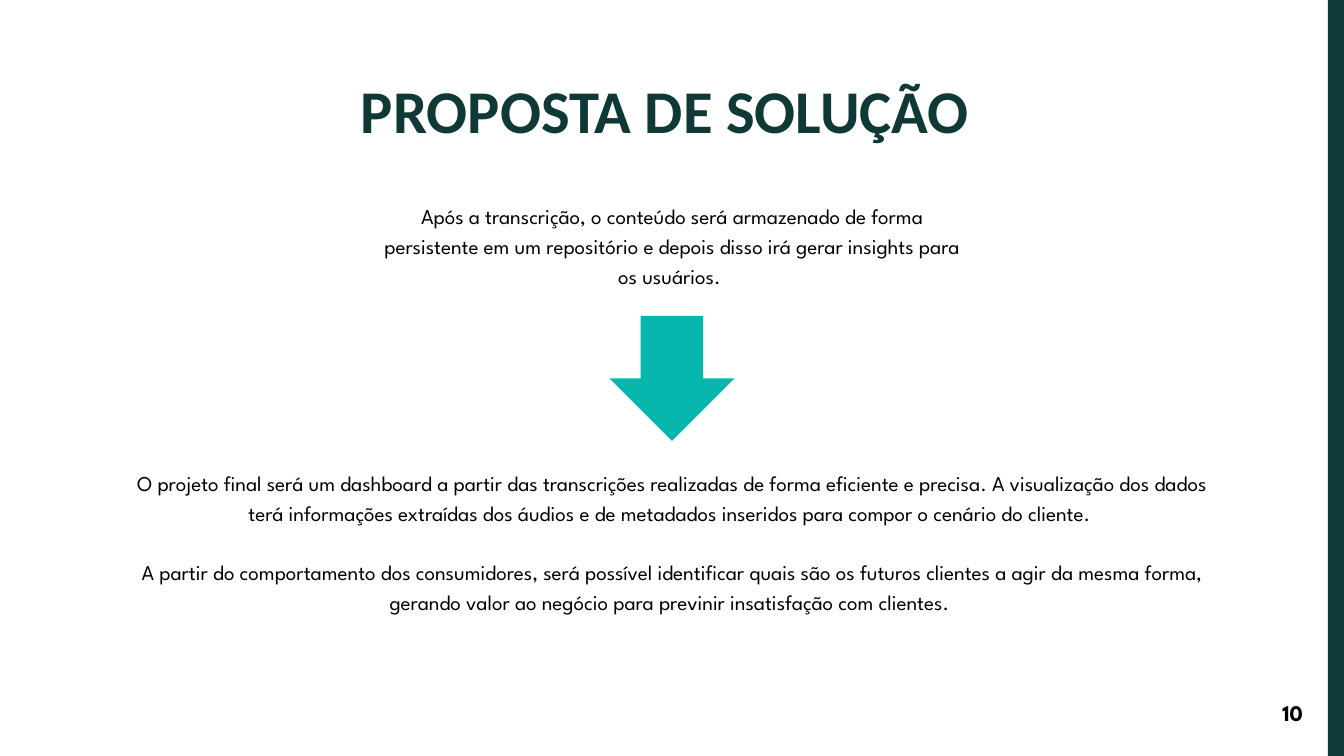
from dataclasses import dataclass

from pptx import Presentation
from pptx.dml.color import RGBColor
from pptx.enum.shapes import MSO_SHAPE
from pptx.enum.text import MSO_ANCHOR, MSO_AUTO_SIZE, PP_ALIGN
from pptx.util import Inches, Pt


@dataclass(frozen=True)
class Theme:
    dark: RGBColor = RGBColor(0x0F, 0x39, 0x37)
    accent: RGBColor = RGBColor(0x07, 0xB7, 0xAD)
    text: RGBColor = RGBColor(0, 0, 0)
    title_font: str = "Calibri"
    body_font: str = "League Spartan"
    title_size: float = 65
    title_leading: float = 68.2
    body_size: float = 22.6
    body_leading: float = 31.7
    number_size: float = 24
    number_leading: float = 33.6


theme = Theme()
WIDTH, HEIGHT = 20, 11.25

presentation = Presentation()
presentation.slide_width = Inches(WIDTH)
presentation.slide_height = Inches(HEIGHT)
slide = presentation.slides.add_slide(presentation.slide_layouts[5])


def write(shape, paragraphs, font, size, leading, color, bold=False):
    """Fill a shape with centred paragraphs, one blank line's height apart."""
    frame = shape.text_frame
    frame.word_wrap = True
    frame.auto_size = MSO_AUTO_SIZE.NONE
    frame.vertical_anchor = MSO_ANCHOR.TOP
    frame.margin_left = frame.margin_right = 0
    frame.margin_top = frame.margin_bottom = 0
    for index, text in enumerate(paragraphs):
        paragraph = frame.add_paragraph() if index else frame.paragraphs[0]
        paragraph.alignment = PP_ALIGN.CENTER
        paragraph.line_spacing = Pt(leading)
        paragraph.space_before = Pt(leading if index else 0)
        run = paragraph.add_run()
        run.text = text
        run.font.name = font
        run.font.size = Pt(size)
        run.font.bold = bold
        run.font.color.rgb = color


def add_block(kind, left, top, width, height, color):
    """Add a plain filled shape without outline or shadow."""
    shape = slide.shapes.add_shape(
        kind, Inches(left), Inches(top), Inches(width), Inches(height))
    shape.shadow.inherit = False
    shape.fill.solid()
    shape.fill.fore_color.rgb = color
    shape.line.fill.background()


# Band on the right edge and arrow centred on the slide
band_width = 0.012 * WIDTH
add_block(MSO_SHAPE.RECTANGLE, WIDTH - band_width, 0, band_width, HEIGHT, theme.dark)
arrow_size = 0.093 * WIDTH
add_block(MSO_SHAPE.DOWN_ARROW, (WIDTH - arrow_size) / 2, 4.7,
          arrow_size, arrow_size, theme.accent)

# Title
title = slide.shapes.title
title_width = 0.6 * WIDTH
title.left, title.top = Inches((WIDTH - title_width) / 2), Inches(1.22)
title.width, title.height = Inches(title_width), Inches(0.99)
write(title, ["PROPOSTA DE SOLUÇÃO "], theme.title_font, theme.title_size,
      theme.title_leading, theme.dark, bold=True)

# Texts above and below the arrow, both centred on the slide
explanations = [
    (2.97, 0.436 * WIDTH, 1.29, [
        "Após a transcrição, o conteúdo será armazenado de forma persistente em um "
        "repositório e depois disso irá gerar insights para os usuários. ",
    ]),
    (6.94, 0.812 * WIDTH, 2.58, [
        "O projeto final será um dashboard a partir das transcrições realizadas de "
        "forma eficiente e precisa. A visualização dos dados terá informações "
        "extraídas dos áudios e de metadados inseridos para compor o cenário do "
        "cliente. ",
        "A partir do comportamento dos consumidores, será possível identificar quais "
        "são os futuros clientes a agir da mesma forma, gerando valor ao negócio "
        "para previnir insatisfação com clientes. ",
    ]),
]
for top, width, height, paragraphs in explanations:
    box = slide.shapes.add_textbox(
        Inches((WIDTH - width) / 2), Inches(top), Inches(width), Inches(height))
    write(box, paragraphs, theme.body_font, theme.body_size,
          theme.body_leading, theme.text)

# Page number
page_number = slide.shapes.add_textbox(
    Inches(0.95 * WIDTH), Inches(10.33), Inches(0.47), Inches(0.44))
write(page_number, ["10"], theme.body_font, theme.number_size,
      theme.number_leading, theme.text, bold=True)

presentation.save("out.pptx")
